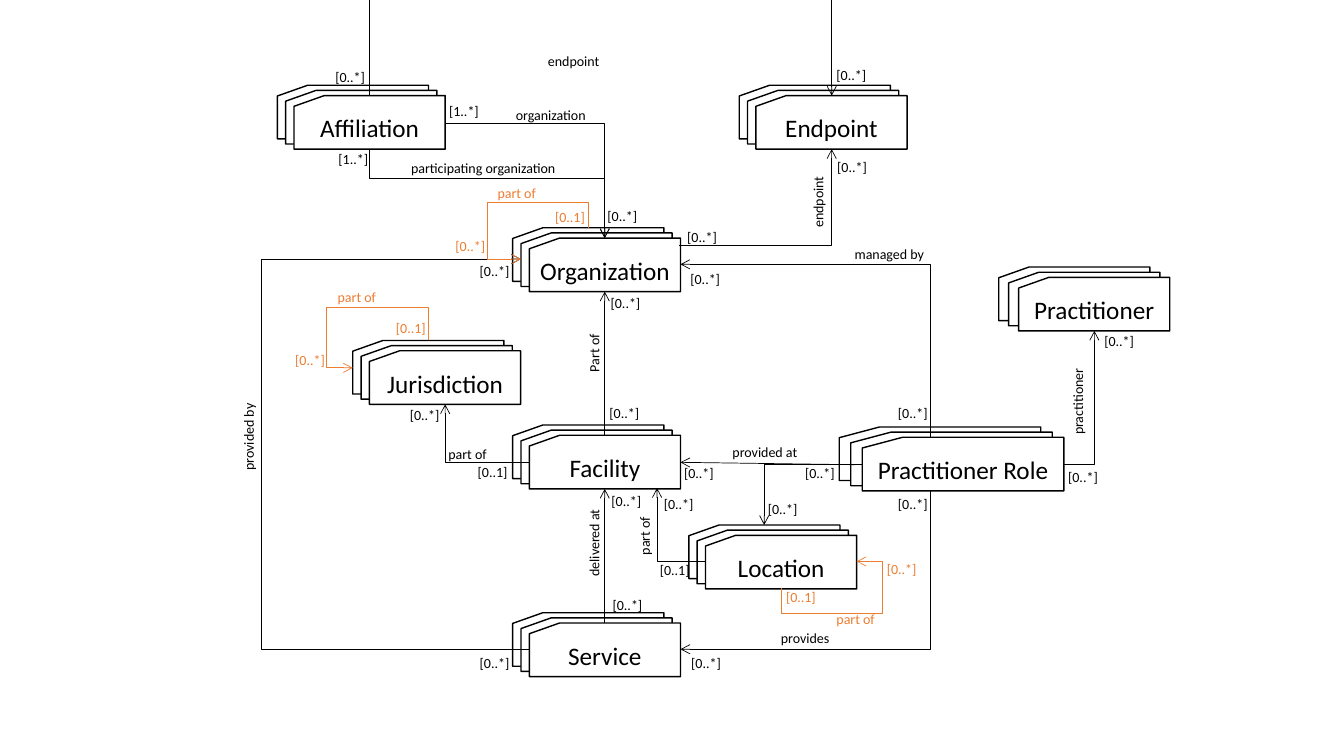
from lxml.etree import SubElement
from pptx import Presentation
from pptx.dml.color import RGBColor
from pptx.enum.shapes import MSO_CONNECTOR, MSO_SHAPE
from pptx.enum.text import MSO_ANCHOR, PP_ALIGN
from pptx.oxml.ns import qn
from pptx.util import Cm, Pt

BLACK = RGBColor(0x00, 0x00, 0x00)
WHITE = RGBColor(0xFF, 0xFF, 0xFF)
ORANGE = RGBColor(0xED, 0x7D, 0x31)
FONT = "Calibri"

# All lengths are in centimetres.
CARD_W, CARD_H, STEP_X, STEP_Y = 3.81, 1.35, 0.21, 0.13
LABEL_H, SIDE_W, COUNT_W = 0.69, 0.94, 1.27

# name, left and top of the front card, width, shift between cards
CARDS = [
    ("Organization", 13.34, 6, CARD_W, STEP_X),
    ("Facility", 13.34, 10.97, CARD_W, STEP_X),
    ("Service", 13.34, 15.7, CARD_W, STEP_X),
    ("Practitioner Role", 21.73, 11.02, 5.08, 0.29),
    ("Jurisdiction", 9.31, 8.84, CARD_W, STEP_X),
    ("Location", 17.78, 13.49, CARD_W, STEP_X),
    ("Affiliation", 7.41, 2.41, CARD_W, STEP_X),
    ("Endpoint", 19.05, 2.41, CARD_W, STEP_X),
    ("Practitioner", 25.67, 6.99, CARD_W, 0.25),
]

# corner points of each link, from its start to its arrowhead
LINKS = [
    [(15.24, 15.7), (15.24, 12.32)],
    [(15.24, 10.97), (15.24, 7.35)],
    [(13.34, 16.36), (6.59, 16.36), (6.59, 6.53), (13.13, 6.53)],
    [(23.45, 11.02), (23.45, 6.66), (17.15, 6.66)],
    [(21.54, 11.71), (17.15, 11.65)],
    [(23.45, 12.37), (23.45, 16.36), (17.15, 16.36)],
    [(13.34, 11.65), (11.22, 11.65), (11.22, 10.19)],
    [(17.78, 14.15), (16.56, 14.15), (16.56, 12.3)],
    [(21.73, 11.71), (19.26, 11.71), (19.26, 13.23)],
    [(11.23, 3.1), (15.24, 3.1), (15.24, 6)],
    [(9.32, 3.76), (9.32, 4.5), (15.24, 4.5), (15.24, 6)],
    [(17.12, 6.18), (20.96, 6.18), (20.96, 3.76)],
    [(26.8, 11.71), (27.58, 11.71), (27.58, 8.34)],
    [(20.96, 0), (20.96, 2.41)],
]
STEM = [(9.32, 2.41), (9.32, 0)]
LOOPS = [
    [(14.82, 5.74), (14.82, 5.11), (12.27, 5.11), (12.27, 6.53), (13.13, 6.53)],
    [(10.8, 8.58), (10.8, 7.75), (8.23, 7.75), (8.23, 9.27), (8.89, 9.27)],
    [(19.69, 14.83), (19.69, 15.47), (22.23, 15.47), (22.23, 14.15), (21.59, 14.15)],
]

# text, left, top, width, colour
LABELS = [
    ("part of", 12.29, 4.52, 1.5, ORANGE),
    ("part of", 8.26, 7.14, 1.5, ORANGE),
    ("part of", 20.83, 15.27, 1.5, ORANGE),
    ("part of", 11.05, 11.1, 1.5, BLACK),
    ("managed by", 21.29, 6.07, 2.29, BLACK),
    ("provided at", 18.21, 11.05, 2.18, BLACK),
    ("provides", 19.43, 15.75, 1.75, BLACK),
    ("organization", 12.75, 2.57, 2.31, BLACK),
    ("participating organization", 10.11, 3.89, 4.22, BLACK),
    ("endpoint", 13.56, 1.19, 1.83, BLACK),
]

# text, left, top, height of labels that read upwards
SIDES = [
    ("Part of", 14.63, 8.41, 1.22),
    ("delivered at", 14.63, 12.8, 1.98),
    ("provided by", 5.92, 10.13, 1.98),
    ("part of", 15.9, 13, 1.24),
    ("endpoint", 20.27, 4.42, 1.57),
    ("practitioner", 26.82, 9.25, 1.96),
]

# text, colour, places
COUNTS = [
    ("[0..*]", BLACK, [
        (17.15, 6.68), (15.19, 14.91), (16.99, 11.58), (20.04, 11.58),
        (11.84, 16.36), (11.84, 6.5), (22.38, 10.06), (22.38, 12.37),
        (15.16, 12.29), (15.11, 10.06), (15.14, 7.29), (17.17, 16.36),
        (10.08, 10.11), (16.48, 12.37), (19.1, 12.5), (15.06, 5.11),
        (8.2, 1.6), (20.83, 1.55), (20.85, 3.86), (17.07, 5.64),
        (27.58, 8.26), (26.67, 11.68)]),
    ("[0..1]", BLACK, [(11.79, 11.56), (16.38, 14.02)]),
    ("[1..*]", BLACK, [(11.07, 2.46), (8.28, 3.68)]),
    ("[0..*]", ORANGE, [(11.23, 5.87), (7.19, 8.74), (22.1, 14)]),
    ("[0..1]", ORANGE, [(13.74, 5.13), (9.73, 7.92), (19.56, 14.71)]),
]


def write(frame, text, size, color):
    run = frame.paragraphs[0].add_run()
    run.text = text
    run.font.name, run.font.size = FONT, Pt(size)
    run.font.color.rgb = color


def add_card(shapes, name, left, top, width, step):
    """Stack three cards, the named one in front."""
    for back in (2, 1, 0):
        card = shapes.add_shape(
            MSO_SHAPE.FLOWCHART_CARD, Cm(left - back * step),
            Cm(top - back * STEP_Y), Cm(width), Cm(CARD_H))
        card.shadow.inherit = False
        card.fill.solid()
        card.fill.fore_color.rgb = WHITE
        card.line.color.rgb = BLACK
        card.line.width = Pt(1)
    frame = card.text_frame
    frame.margin_left = frame.margin_right = 0
    frame.vertical_anchor = MSO_ANCHOR.MIDDLE
    frame.paragraphs[0].alignment = PP_ALIGN.CENTER
    write(frame, name, 18, BLACK)


def add_link(shapes, points, color=BLACK, head=True):
    """Draw one connector through the points; one that starts upright is turned by 90 degrees."""
    (x1, y1), (x2, y2) = points[0], points[-1]
    wide, high = x2 - x1, y2 - y1
    bends = len(points) - 2
    turned = bends > 0 and points[1][0] == x1
    if turned:
        mid_x, mid_y = (x1 + x2) / 2, (y1 + y2) / 2
        ends = (mid_x - high / 2, mid_y + wide / 2, mid_x + high / 2, mid_y - wide / 2)
    else:
        ends = (x1, y1, x2, y2)
    kind = MSO_CONNECTOR.ELBOW if bends else MSO_CONNECTOR.STRAIGHT
    link = shapes.add_connector(kind, *[Cm(end) for end in ends])
    link.line.color.rgb = color
    link.line.width = Pt(0.5)
    props = link._element.spPr
    if turned:
        props.find(qn("a:xfrm")).set("rot", "5400000")
    if bends:
        shape = props.find(qn("a:prstGeom"))
        shape.set("prst", f"bentConnector{bends + 1}")
        guides = shape.find(qn("a:avLst"))
        for i, (x, y) in enumerate(points[1:bends], 1):
            across = (i % 2 == 1) != turned
            ratio = (x - x1) / wide if across else (y - y1) / high
            SubElement(guides, qn("a:gd"), name=f"adj{i}",
                       fmla=f"val {round(ratio * 100000)}")
    if head:
        SubElement(props.find(qn("a:ln")), qn("a:tailEnd"), type="arrow")
    SubElement(props, qn("a:effectLst"))


def add_label(shapes, text, left, top, width, height, color=BLACK, upward=False):
    box = shapes.add_textbox(Cm(left), Cm(top), Cm(width), Cm(height))
    frame = box.text_frame
    frame.word_wrap = False
    if upward:
        frame._txBody.bodyPr.set("vert", "vert270")
    write(frame, text, 10, color)


def main():
    deck = Presentation()
    deck.slide_width, deck.slide_height = Cm(33.87), Cm(19.05)
    shapes = deck.slides.add_slide(deck.slide_layouts[6]).shapes
    for card in CARDS:
        add_card(shapes, *card)
    for points in LINKS:
        add_link(shapes, points)
    add_link(shapes, STEM, head=False)
    for points in LOOPS:
        add_link(shapes, points, ORANGE)
    for text, left, top, width, color in LABELS:
        add_label(shapes, text, left, top, width, LABEL_H, color)
    for text, left, top, height in SIDES:
        add_label(shapes, text, left, top, SIDE_W, height, upward=True)
    for text, color, places in COUNTS:
        for left, top in places:
            add_label(shapes, text, left, top, COUNT_W, LABEL_H, color)
    deck.save("out.pptx")


if __name__ == "__main__":
    main()
